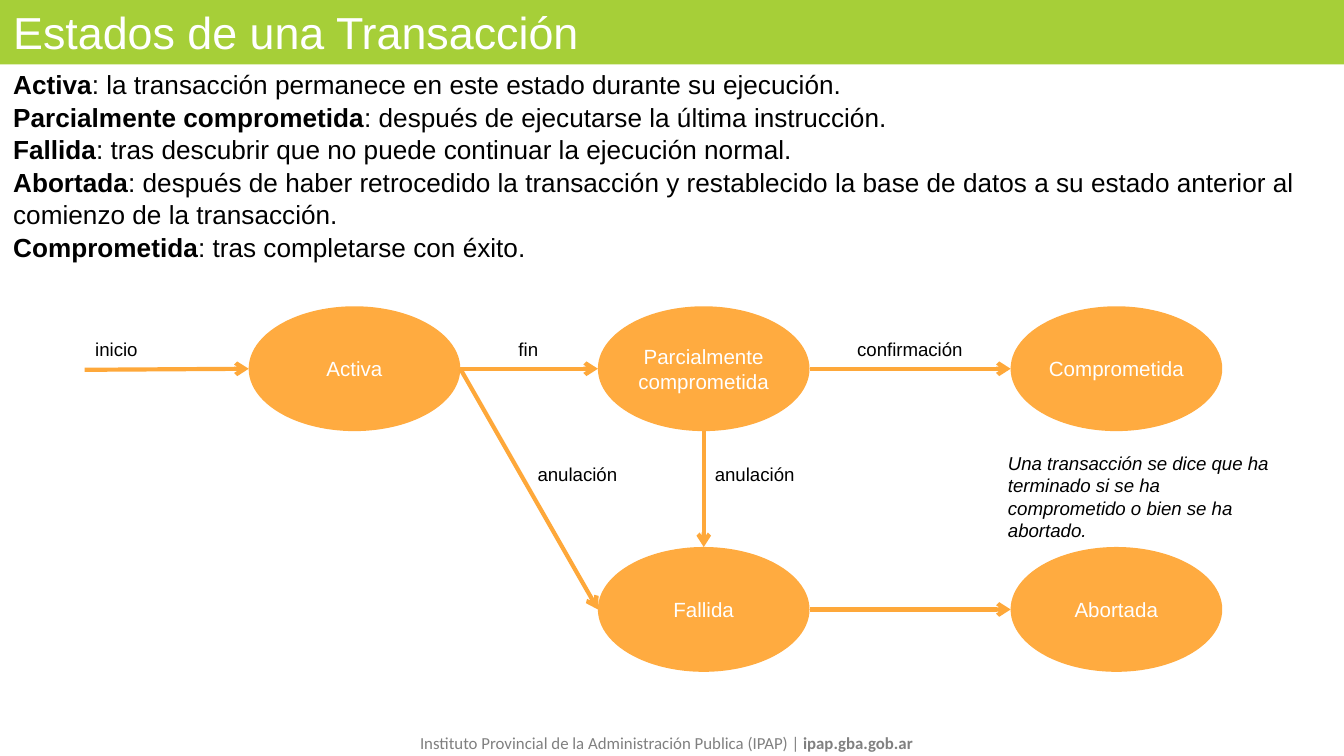
from lxml.etree import SubElement
from pptx import Presentation
from pptx.dml.color import RGBColor
from pptx.enum.shapes import MSO_CONNECTOR as Link, MSO_SHAPE as Shape
from pptx.enum.text import MSO_ANCHOR as Anchor, PP_ALIGN as Align
from pptx.oxml.ns import qn
from pptx.util import Cm, Pt

GREEN, ORANGE, ARROW = "A6CF38", "FFAB40", "FEA83A"
WHITE, BLACK, GREY = "FFFFFF", "000000", "808080"
STATE_WIDTH, STATE_HEIGHT = 4, 2.36
TOP_ROW, BOTTOM_ROW = 5.79, 10.34
LEFT_COL, MIDDLE_COL, RIGHT_COL = 4.7, 11.3, 19.1


def paint(color, value):
    color.rgb = RGBColor.from_string(value)


def write(frame, paragraphs, size=10, font="Arial", color=BLACK, italic=False,
          align=Align.LEFT, anchor=Anchor.TOP, insets=(0.25, 0.13, 0.25, 0.13),
          wrap=True, spacing=None):
    """Each paragraph is a list of (text, bold) spans."""
    frame.word_wrap = wrap
    frame.vertical_anchor = anchor
    (frame.margin_left, frame.margin_top,
     frame.margin_right, frame.margin_bottom) = map(Cm, insets)
    for index, spans in enumerate(paragraphs):
        para = frame.add_paragraph() if index else frame.paragraphs[0]
        para.alignment = align
        if spacing:
            para.line_spacing = spacing
        for text, bold in spans:
            span = para.add_run()
            span.text = text
            span.font.name, span.font.size = font, Pt(size)
            span.font.bold, span.font.italic = bold, italic
            paint(span.font.color, color)


class Diagram:
    def __init__(self, page):
        self.page = page

    def text(self, area, paragraphs, **style):
        box = self.page.shapes.add_textbox(*map(Cm, area))
        write(box.text_frame, paragraphs, **style)

    def block(self, kind, area, text, fill, **style):
        shape = self.page.shapes.add_shape(kind, *map(Cm, area))
        shape.shadow.inherit = False
        shape.fill.solid()
        paint(shape.fill.fore_color, fill)
        shape.line.fill.background()
        write(shape.text_frame, [[(text, False)]], color=WHITE,
              anchor=Anchor.MIDDLE, **style)

    def state(self, text, left, top):
        """Draw a state and return its edge points."""
        self.block(Shape.OVAL, (left, top, STATE_WIDTH, STATE_HEIGHT), text,
                   ORANGE, size=11, align=Align.CENTER, insets=(0, 0, 0, 0))
        center, middle = left + STATE_WIDTH / 2, top + STATE_HEIGHT / 2
        return {"left": (left, middle), "right": (left + STATE_WIDTH, middle),
                "top": (center, top), "bottom": (center, top + STATE_HEIGHT)}

    def arrow(self, start, end):
        line = self.page.shapes.add_connector(
            Link.STRAIGHT, *map(Cm, start + end))
        line.line.width = Pt(2.25)
        paint(line.line.color, ARROW)
        properties = line._element.spPr
        SubElement(properties.find(qn("a:ln")), qn("a:tailEnd"), type="arrow")
        SubElement(properties, qn("a:effectLst"))

    def label(self, text, left, top, width):
        self.text((left, top, width, 1.19), [[(text, False)]], wrap=False,
                  insets=(0.51, 0.25, 0.25, 0.25))


def main():
    deck = Presentation()
    deck.slide_width, deck.slide_height = Cm(25.4), Cm(14.29)
    diagram = Diagram(deck.slides.add_slide(deck.slide_layouts[6]))

    # Title band and footer
    diagram.block(Shape.RECTANGLE, (0, -0.05, 25.4, 1.27),
                  "Estados de una Transacción", GREEN, size=24, spacing=1.04)
    diagram.text((1.19, 13.72, 22.81, 0.63), [[
        ("Instituto Provincial de la Administración Publica (IPAP) |", False),
        (" ipap.gba.gob.ar", True)]],
        size=9, font="Calibri", color=GREY, align=Align.CENTER)

    # States
    partial = diagram.state("Parcialmente comprometida", MIDDLE_COL, TOP_ROW)
    committed = diagram.state("Comprometida", RIGHT_COL, TOP_ROW)
    failed = diagram.state("Fallida", MIDDLE_COL, BOTTOM_ROW)
    active = diagram.state("Activa", LEFT_COL, TOP_ROW)
    aborted = diagram.state("Abortada", RIGHT_COL, BOTTOM_ROW)

    # Transitions
    for start, end in [
        (active["right"], partial["left"]),
        (active["right"], failed["left"]),
        (partial["bottom"], failed["top"]),
        (failed["right"], aborted["left"]),
        (partial["right"], committed["left"]),
        ((1.6, 6.99), active["left"]),
    ]:
        diagram.arrow(start, end)

    # Transition labels
    for text, left, top, width in [
        ("inicio", 1.29, 6.17, 2.54),
        ("fin", 9.29, 6.17, 2),
        ("confirmación", 15.69, 6.17, 4),
        ("anulación", 13, 8.53, 2.6),
        ("anulación", 9.65, 8.53, 2.6),
    ]:
        diagram.label(text, left, top, width)

    # Definitions and closing note
    definitions = {
        "Activa": "la transacción permanece en este estado durante su ejecución.",
        "Parcialmente comprometida": "después de ejecutarse la última instrucción.",
        "Fallida": "tras descubrir que no puede continuar la ejecución normal.",
        "Abortada": "después de haber retrocedido la transacción y restablecido "
                    "la base de datos a su estado anterior al comienzo de la "
                    "transacción.",
        "Comprometida": "tras completarse con éxito.",
    }
    diagram.text((0, 1.14, 25.4, 3.84),
                 [[(term, True), (f": {meaning}", False)]
                  for term, meaning in definitions.items()],
                 size=14, spacing=1.04)
    diagram.text((18.8, 8.41, 5.69, 1.55), [[
        ("Una transacción se dice que ha terminado si se ha comprometido "
         "o bien se ha abortado.", False)]], italic=True)

    deck.save("out.pptx")


if __name__ == "__main__":
    main()
